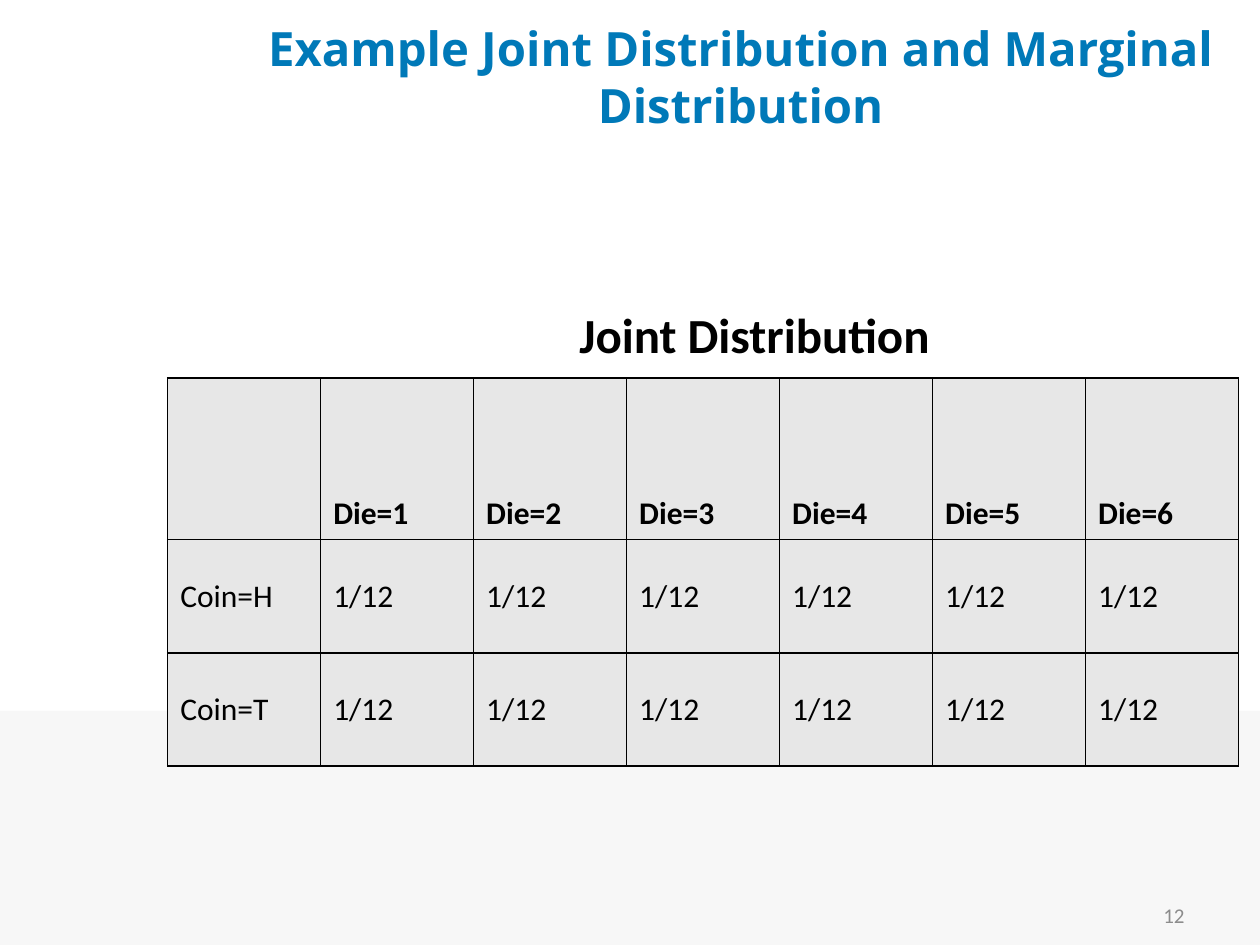
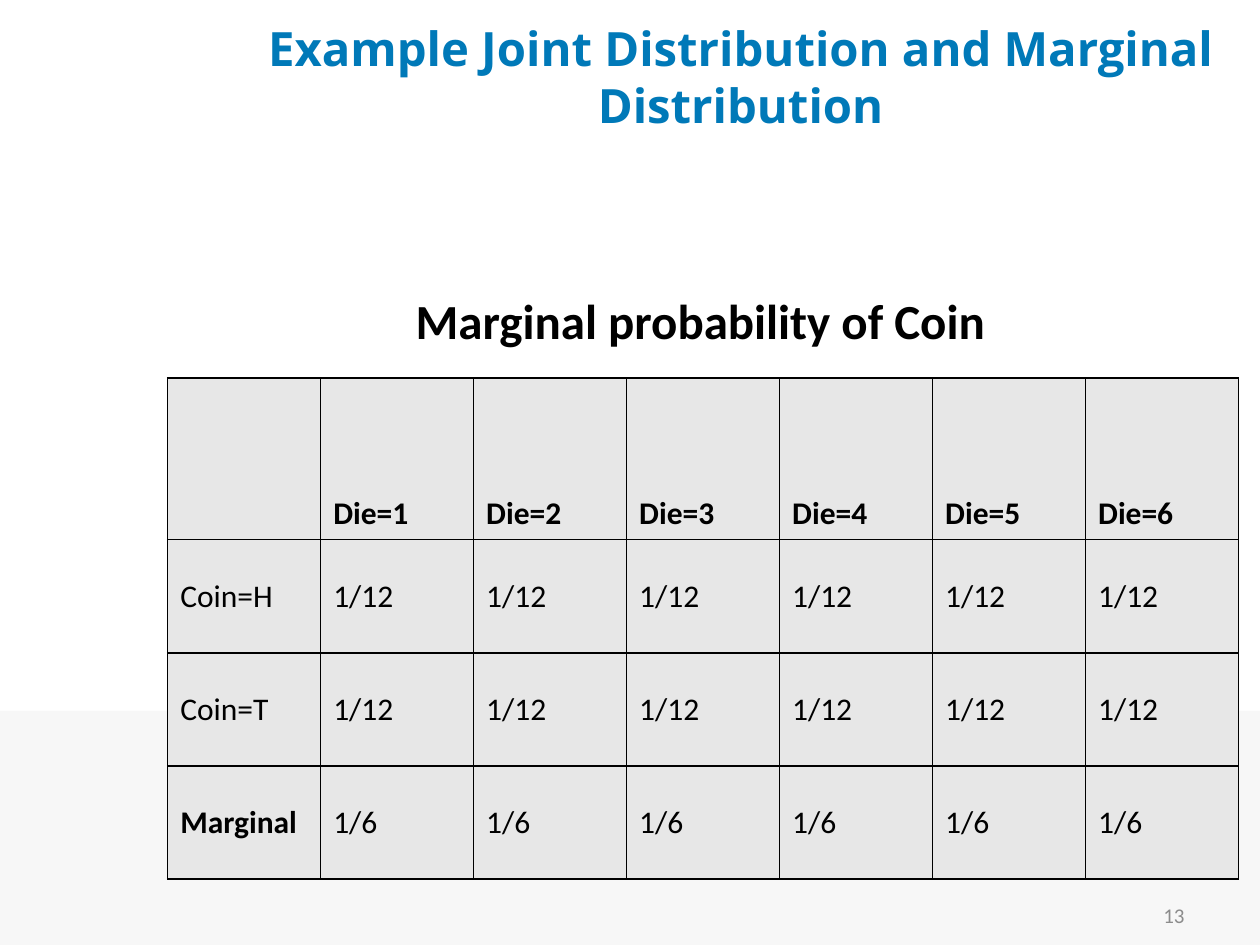
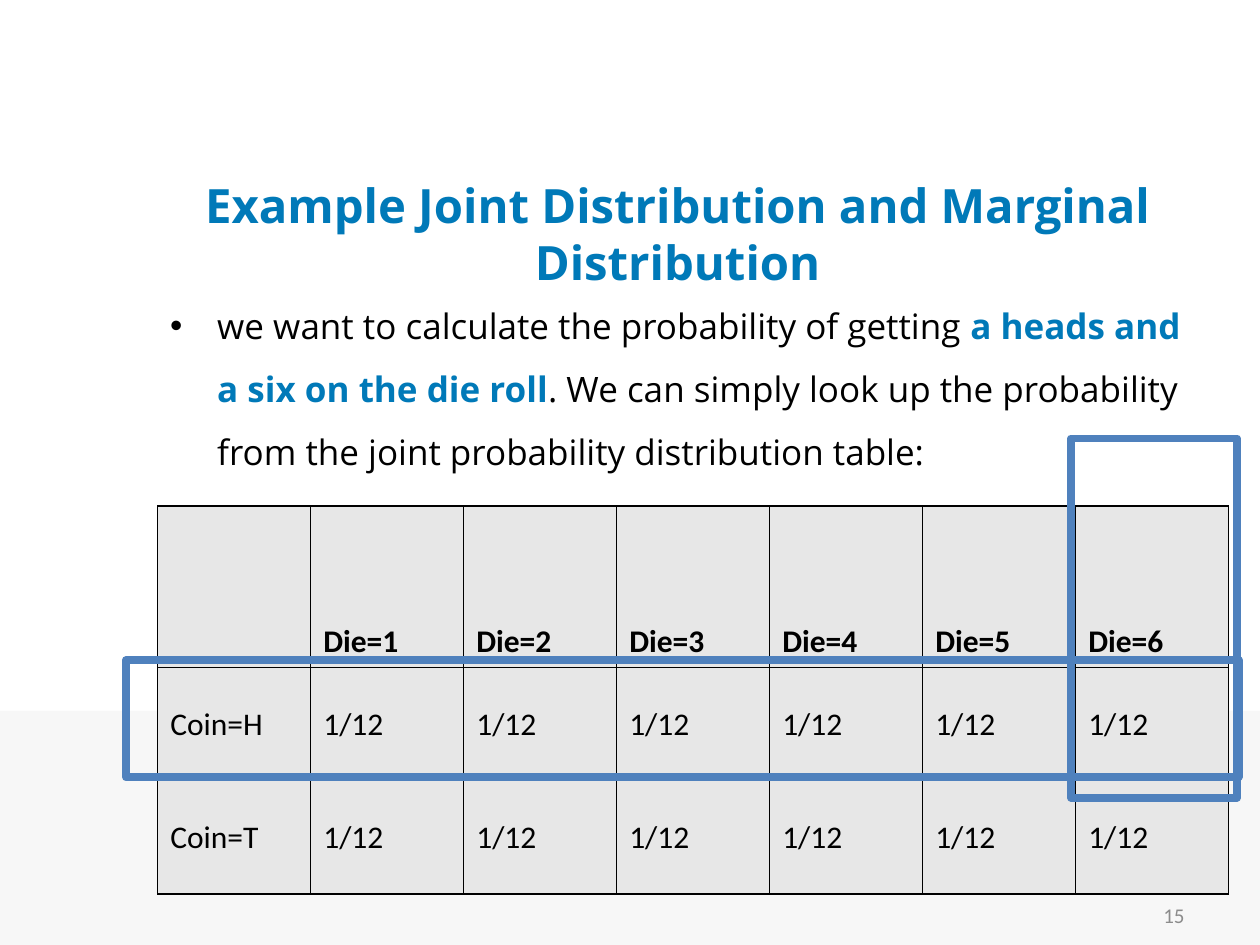
"""Build three slides on joint and marginal distributions of a coin and a die."""
from dataclasses import dataclass

import pptx
import pptx.dml.color
import pptx.enum.shapes
import pptx.enum.text
import pptx.oxml
import pptx.oxml.ns
import pptx.presentation
import pptx.shapes.autoshape
import pptx.slide
import pptx.text.text
import pptx.util
from pptx.dml.color import RGBColor
from pptx.util import Cm

BLUE = RGBColor(0x00, 0x79, 0xB8)
BLACK = RGBColor(0x00, 0x00, 0x00)
NUMBER_GREY = RGBColor(0x8C, 0x8C, 0x8C)
BAND_GREY = RGBColor(0xF7, 0xF7, 0xF7)
CELL_GREY = RGBColor(0xE7, 0xE7, 0xE7)
FRAME_BLUE = RGBColor(0x4F, 0x81, 0xBD)

HEADING_FONT = "Open Sans"
PLAIN_FONT = "Calibri"
TITLE = "Example Joint Distribution and Marginal Distribution"
HEADER_HEIGHT = Cm(3.26)
ROW_HEIGHT = Cm(2.28)
TABLE_WIDTH = Cm(21.59)

DIE = range(1, 7)
JOINT = [
    ["", *(f"Die={n}" for n in DIE)],
    ["Coin=H", *("1/12" for _ in DIE)],
    ["Coin=T", *("1/12" for _ in DIE)],
]
MARGINAL = [*JOINT, ["Marginal", *("1/6" for _ in DIE)]]


@dataclass(frozen=True)
class Box:
    """Position and size of an object."""
    left: Cm
    top: Cm
    width: Cm
    height: Cm

    def place(self) -> tuple[Cm, Cm, Cm, Cm]:
        """Return the box as left, top, width and height."""
        return self.left, self.top, self.width, self.height


@dataclass(frozen=True)
class Style:
    """Character formatting of a run."""
    font: str
    size: int
    color: RGBColor
    bold: bool = False


@dataclass(frozen=True)
class Page:
    """What varies between slides that hold a table."""
    number: int
    title_left: Cm
    title_top: Cm
    table_left: Cm
    table_top: Cm
    rows: list[list[str]]


TITLE_STYLE = Style(HEADING_FONT, 27, BLUE, True)
NUMBER_STYLE = Style(PLAIN_FONT, 12, NUMBER_GREY)
CAPTION_STYLE = Style(PLAIN_FONT, 28, BLACK, True)
CELL_STYLE = Style(PLAIN_FONT, 18, BLACK)
HEADER_STYLE = Style(PLAIN_FONT, 18, BLACK, True)
BODY_STYLE = Style(HEADING_FONT, 20, BLACK)
STRONG_STYLE = Style(HEADING_FONT, 20, BLUE, True)

BAND = Box(Cm(0), Cm(14.33), Cm(25.4), Cm(4.72))
NUMBER_BOX = Box(Cm(18.21), Cm(17.93), Cm(5.92), Cm(1.02))
BODY_BOX = Box(Cm(3.18), Cm(5.59), Cm(21.13), Cm(13.89))
HEADS_ROW = Box(Cm(2.54), Cm(13.31), Cm(22.43), Cm(2.36))
SIX_COLUMN = Box(Cm(21.59), Cm(8.84), Cm(3.35), Cm(7.24))

JOINT_PAGE = Page(12, Cm(4.45), Cm(0.64), Cm(3.38), Cm(7.62), JOINT)
MARGINAL_PAGE = Page(13, Cm(4.45), Cm(0.64), Cm(3.38), Cm(7.62), MARGINAL)
LOOKUP_PAGE = Page(15, Cm(3.18), Cm(3.81), Cm(3.18), Cm(10.2), JOINT)


def format_run(r: pptx.text.text._Run, style: Style) -> None:
    """Apply a style to a run."""
    r.font.name = style.font
    r.font.size = pptx.util.Pt(style.size)
    r.font.color.rgb = style.color
    r.font.bold = style.bold


def write(tf: pptx.text.text.TextFrame, text: str, style: Style) -> pptx.text.text._Paragraph:
    """Set one styled paragraph and return it."""
    tf.text = text
    p = tf.paragraphs[0]
    for r in p.runs:
        format_run(r, style)
    return p


def add_rectangle(s: pptx.slide.Slide, box: Box) -> pptx.shapes.autoshape.Shape:
    """Add a rectangle without shadow."""
    sp = s.shapes.add_shape(pptx.enum.shapes.MSO_SHAPE.RECTANGLE, *box.place())
    sp.shadow.inherit = False
    return sp


def add_band(s: pptx.slide.Slide) -> None:
    """Draw the grey bottom band and hand it to the slide's layout."""
    sp = add_rectangle(s, BAND)
    sp.fill.solid()
    sp.fill.fore_color.rgb = BAND_GREY
    sp.line.fill.background()
    s.slide_layout.shapes.element.insert(2, sp.element)


def add_frame(s: pptx.slide.Slide, box: Box) -> None:
    """Outline a part of the table."""
    sp = add_rectangle(s, box)
    sp.fill.background()
    sp.line.color.rgb = FRAME_BLUE
    sp.line.width = pptx.util.Pt(4.5)


def add_border(cell: pptx.table._Cell) -> None:
    """Give a cell a thin black line on each side."""
    tc_pr = cell._tc.get_or_add_tcPr()
    for side in ("lnL", "lnR", "lnT", "lnB"):
        tc_pr.append(pptx.oxml.parse_xml(
            f'<a:{side} {pptx.oxml.ns.nsdecls("a")} w="{pptx.util.Pt(1)}">'
            f'<a:solidFill><a:srgbClr val="{BLACK}"/></a:solidFill></a:{side}>'))


def add_distribution(s: pptx.slide.Slide, page: Page) -> None:
    """Add the probability table."""
    rows = page.rows
    height = HEADER_HEIGHT + ROW_HEIGHT * (len(rows) - 1)
    table = s.shapes.add_table(len(rows), len(rows[0]), page.table_left,
                               page.table_top, TABLE_WIDTH, height).table
    table.first_row = table.horz_banding = False
    anchor = pptx.enum.text.MSO_ANCHOR
    for i, row in enumerate(rows):
        table.rows[i].height = ROW_HEIGHT if i else HEADER_HEIGHT
        for j, text in enumerate(row):
            cell = table.cell(i, j)
            add_border(cell)
            cell.fill.solid()
            cell.fill.fore_color.rgb = CELL_GREY
            cell.vertical_anchor = anchor.MIDDLE if i else anchor.BOTTOM
            bold = i == 0 or text == "Marginal"
            write(cell.text_frame, text, HEADER_STYLE if bold else CELL_STYLE)


def add_caption(s: pptx.slide.Slide, text: str, box: Box) -> None:
    """Add the heading above a table."""
    tf = s.shapes.add_textbox(*box.place()).text_frame
    tf.word_wrap = False
    tf.auto_size = pptx.enum.text.MSO_AUTO_SIZE.SHAPE_TO_FIT_TEXT
    write(tf, text, CAPTION_STYLE)


def add_question(s: pptx.slide.Slide) -> None:
    """Add the bulleted question."""
    tf = s.shapes.add_textbox(*BODY_BOX.place()).text_frame
    tf.word_wrap = True
    p = tf.paragraphs[0]
    p.line_spacing = 1.5
    p.space_before = pptx.util.Pt(4)
    for text, style in (
        ("we want to calculate the probability of getting ", BODY_STYLE),
        ("a heads and a six on the die roll", STRONG_STYLE),
        (". We can simply look up the probability from the joint "
         "probability distribution table:", BODY_STYLE),
    ):
        r = p.add_run()
        r.text = text
        format_run(r, style)
    p_pr = p._p.get_or_add_pPr()
    p_pr.set("marL", str(Cm(0.95)))
    p_pr.set("indent", str(-Cm(0.95)))
    ns = pptx.oxml.ns.nsdecls("a")
    p_pr.append(pptx.oxml.parse_xml(f'<a:buFont {ns} typeface="Arial"/>'))
    p_pr.append(pptx.oxml.parse_xml(f'<a:buChar {ns} char="•"/>'))


def add_page(prs: pptx.presentation.Presentation, page: Page) -> pptx.slide.Slide:
    """Add a slide with its title and number."""
    s = prs.slides.add_slide(prs.slide_layouts[5])
    align = pptx.enum.text.PP_ALIGN
    sp = s.shapes.title
    sp.left, sp.top = page.title_left, page.title_top
    sp.width, sp.height = Cm(20.96), Cm(1.78)
    number = s.shapes.add_textbox(*NUMBER_BOX.place())
    for tf, text, style, alignment in (
        (sp.text_frame, TITLE, TITLE_STYLE, align.CENTER),
        (number.text_frame, str(page.number), NUMBER_STYLE, align.RIGHT),
    ):
        tf.word_wrap = True
        tf.auto_size = pptx.enum.text.MSO_AUTO_SIZE.NONE
        tf.vertical_anchor = pptx.enum.text.MSO_ANCHOR.MIDDLE
        write(tf, text, style).alignment = alignment
    return s


def main() -> None:
    """Build and save the presentation."""
    prs = pptx.Presentation()
    prs.slide_width, prs.slide_height = Cm(25.4), Cm(19.05)

    s = add_page(prs, JOINT_PAGE)
    add_band(s)
    add_distribution(s, JOINT_PAGE)
    add_caption(s, "Joint Distribution", Box(Cm(11.43), Cm(6.02), Cm(7.65), Cm(1.45)))

    s = add_page(prs, MARGINAL_PAGE)
    add_distribution(s, MARGINAL_PAGE)
    add_caption(s, "Marginal probability of Coin",
                Box(Cm(8.13), Cm(5.74), Cm(12.12), Cm(1.45)))

    s = add_page(prs, LOOKUP_PAGE)
    add_question(s)
    add_distribution(s, LOOKUP_PAGE)
    for box in (HEADS_ROW, SIX_COLUMN):
        add_frame(s, box)

    prs.save("out.pptx")


if __name__ == "__main__":
    main()
